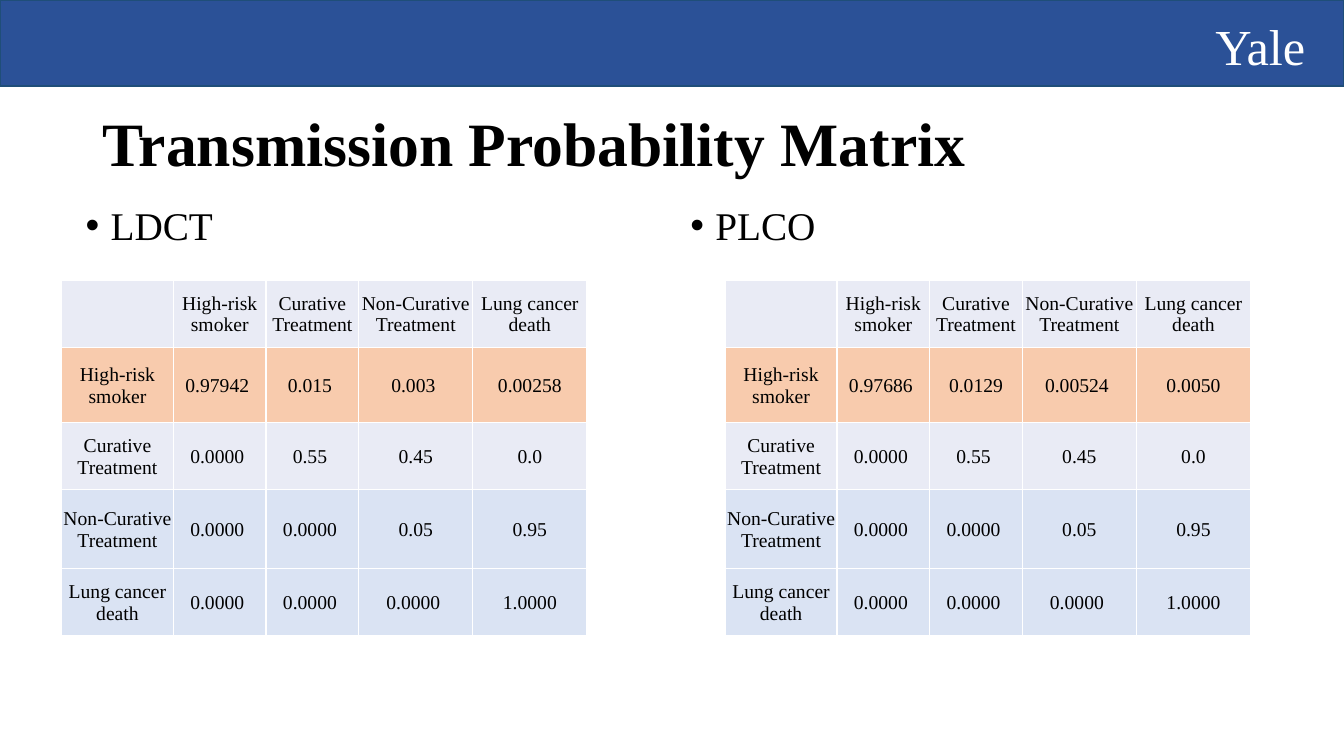
from lxml import etree
from pptx import Presentation
from pptx.dml import color
from pptx.enum import shapes, text
from pptx.oxml import ns
from pptx.util import Pt

FONT = "Times New Roman"
BLACK, WHITE = "000000", "FFFFFF"
STATES = ["High-risk smoker", "Curative Treatment", "Non-Curative Treatment", "Lung cancer death"]
COL_WIDTHS = [79.9, 66.2, 66.2, 81.5, 81.5]
ROW_HEIGHTS = [48.2, 53.3, 48.2, 56.2, 48.2]
ROW_FILLS = ["E9EBF5", "F8CBAD", "E9EBF5", "DAE3F3", "DAE3F3"]
ILL_ROWS = [
    ["0.0000 ", "0.55 ", "0.45", "0.0"],
    ["0.0000 ", "0.0000 ", "0.05", "0.95"],
    ["0.0000 ", "0.0000 ", "0.0000 ", "1.0000"],
]
LDCT_SMOKER = ["0.97942 ", "0.015 ", "0.003 ", "0.00258"]
PLCO_SMOKER = ["0.97686 ", "0.0129", "0.00524 ", "0.0050"]


def rgb(value):
    return color.RGBColor.from_string(value)


def set_all(obj, values):
    for name, value in values.items():
        setattr(obj, name, value)


def write(p, words, size, fill=BLACK, bold=False):
    r = p.add_run()
    r.text = words
    set_all(r.font, {"name": FONT, "size": Pt(size), "bold": bold})
    r.font.color.rgb = rgb(fill)


def add_banner(s, width, height):
    sp = s.shapes.add_shape(shapes.MSO_SHAPE.RECTANGLE, 0, 0, Pt(width), Pt(height))
    sp.shadow.inherit = False
    sp.fill.solid()
    sp.fill.fore_color.rgb = rgb("2B5197")
    sp.line.color.rgb = rgb("1F4E79")
    sp.line.width = Pt(1)


def add_text(s, box, words, size, fill=BLACK, bold=False, spacing=0.9,
             anchor=text.MSO_ANCHOR.TOP, bullet=False):
    tf = s.shapes.add_textbox(*map(Pt, box)).text_frame
    set_all(tf, {"word_wrap": True, "vertical_anchor": anchor})
    p = tf.paragraphs[0]
    p.line_spacing = spacing
    if bullet:
        p_pr = p._p.get_or_add_pPr()
        p_pr.set("marL", str(Pt(18)))
        p_pr.set("indent", str(Pt(-18)))
        etree.SubElement(p_pr, ns.qn("a:buFont"), typeface="Arial")
        etree.SubElement(p_pr, ns.qn("a:buChar"), char="•")
    write(p, words, size, fill, bold)


def add_borders(cell):
    tc_pr = cell._tc.get_or_add_tcPr()
    for side in ("lnL", "lnR", "lnT", "lnB"):
        line = etree.SubElement(tc_pr, ns.qn("a:" + side), w=str(Pt(1)))
        solid = etree.SubElement(line, ns.qn("a:solidFill"))
        etree.SubElement(solid, ns.qn("a:srgbClr"), val=WHITE)


def fill_cell(cell, words, fill):
    set_all(cell, {
        "margin_left": Pt(0.7), "margin_right": Pt(0.7), "margin_top": Pt(0.7),
        "margin_bottom": 0, "vertical_anchor": text.MSO_ANCHOR.MIDDLE,
    })
    add_borders(cell)
    cell.fill.solid()
    cell.fill.fore_color.rgb = rgb(fill)
    if words:
        p = cell.text_frame.paragraphs[0]
        p.alignment = text.PP_ALIGN.CENTER
        write(p, words, 14)


def add_matrix(s, left, top, smoker_row):
    values = [smoker_row] + ILL_ROWS
    rows = [[""] + STATES] + [[state] + row for state, row in zip(STATES, values)]
    frame = s.shapes.add_table(len(rows), len(COL_WIDTHS), Pt(left), Pt(top),
                               Pt(sum(COL_WIDTHS)), Pt(sum(ROW_HEIGHTS)))
    table = frame.table
    set_all(table, {"first_row": False, "horz_banding": False})
    for column, width in zip(table.columns, COL_WIDTHS):
        column.width = Pt(width)
    for i, row in enumerate(rows):
        table.rows[i].height = Pt(ROW_HEIGHTS[i])
        for j, words in enumerate(row):
            fill_cell(table.cell(i, j), words, ROW_FILLS[i])


def main():
    prs = Presentation()
    set_all(prs, {"slide_width": Pt(960), "slide_height": Pt(540)})
    s = prs.slides.add_slide(prs.slide_layouts[6])
    add_banner(s, 960, 61.5)
    add_text(s, (861, 7.2, 86, 51), "Yale", 36, WHITE, spacing=1.0)
    add_text(s, (66, 75.6, 828, 57.6), "Transmission Probability Matrix", 44,
             bold=True, anchor=text.MSO_ANCHOR.MIDDLE)
    add_text(s, (486, 144, 474, 355), "PLCO", 28, bullet=True)
    add_text(s, (54, 144, 408, 343), "LDCT", 28, bullet=True)
    add_matrix(s, 44, 200.2, LDCT_SMOKER)
    add_matrix(s, 518, 200.2, PLCO_SMOKER)
    prs.save("out.pptx")


if __name__ == "__main__":
    main()
